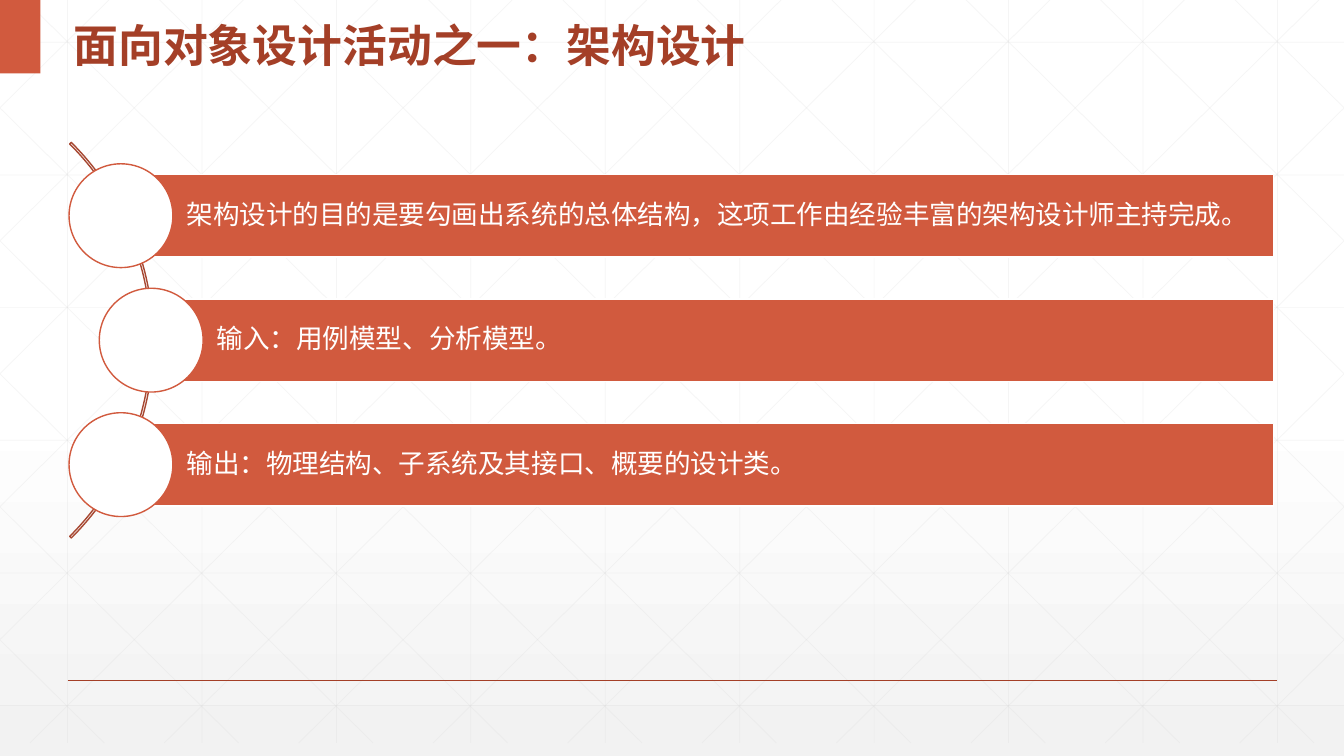
import dataclasses

import lxml.etree
import pptx
import pptx.dml.color
import pptx.enum.shapes
import pptx.enum.text
import pptx.oxml
import pptx.oxml.ns
import pptx.util

Inches = pptx.util.Inches
Pt = pptx.util.Pt
qn = pptx.oxml.ns.qn
Kind = pptx.enum.shapes.MSO_SHAPE
Anchor = pptx.enum.text.MSO_ANCHOR

WIDE, HIGH = 13.33, 7.5
DEEP = 7.37  # bottom of the grid
RED, DARK, WHITE, GRAY = "D15A3E", "A43F27", "FFFFFF", "D9D9D9"
HAN = "Noto Sans CJK SC"


@dataclasses.dataclass
class Row:
    left: float
    text: str


ROWS = [
    Row(1.2, "架构设计的目的是要勾画出系统的总体结构，这项工作由经验丰富的架构设计师主持完成。"),
    Row(1.5, "输入：用例模型、分析模型。"),
    Row(1.2, "输出：物理结构、子系统及其接口、概要的设计类。"),
]

deck = pptx.Presentation()
deck.slide_width, deck.slide_height = Inches(WIDE), Inches(HIGH)
slide = deck.slides.add_slide(deck.slide_layouts[6])


def color(code: str) -> pptx.dml.color.RGBColor:
    return pptx.dml.color.RGBColor.from_string(code)


def add_alpha(clr, share: int) -> None:
    lxml.etree.SubElement(clr, qn("a:alpha")).set("val", str(share * 1000))


def add_line(x1: float, y1: float, x2: float, y2: float, code: str,
             width: float, alpha: int = 100) -> None:
    line = slide.shapes.add_connector(
        pptx.enum.shapes.MSO_CONNECTOR.STRAIGHT,
        Inches(x1), Inches(y1), Inches(x2), Inches(y2))
    line.line.color.rgb = color(code)
    line.line.width = Pt(width)
    props = line._element.spPr
    if alpha < 100:
        add_alpha(props.find(".//" + qn("a:srgbClr")), alpha)
    lxml.etree.SubElement(props, qn("a:effectLst"))


def add_shape(kind, left: float, top: float, width: float, height: float,
              fill: str = "", edge: str = ""):
    shape = slide.shapes.add_shape(
        kind, Inches(left), Inches(top), Inches(width), Inches(height))
    shape.shadow.inherit = False
    if fill:
        shape.fill.solid()
        shape.fill.fore_color.rgb = color(fill)
    else:
        shape.fill.background()
    if edge:
        shape.line.color.rgb = color(edge)
        shape.line.width = Pt(1)
    else:
        shape.line.fill.background()
    return shape


def set_text(shape, text: str, *, size: float, code: str, face: str,
             space: float, inset: float, bold: bool = False) -> None:
    frame = shape.text_frame
    frame.word_wrap = True
    frame.vertical_anchor = Anchor.MIDDLE
    frame.margin_left = Inches(inset)
    frame.margin_right = frame.margin_top = frame.margin_bottom = Inches(0.05)
    para = frame.paragraphs[0]
    para.alignment = pptx.enum.text.PP_ALIGN.LEFT
    para.line_spacing = space
    run = para.add_run()
    run.text = text
    run.font.size, run.font.bold, run.font.name = Pt(size), bold, face
    run.font.color.rgb = color(code)
    east = lxml.etree.SubElement(run._r.get_or_add_rPr(), qn("a:ea"))
    east.set("typeface", HAN)


def draw_back() -> None:
    fill = slide.background.fill
    fill.gradient()
    fill.gradient_angle = 270
    stops = slide._element.find(".//" + qn("a:gsLst"))
    for old in list(stops):
        stops.remove(old)
    for place, code, alpha in ((0, WHITE, 100), (53, WHITE, 100), (100, "F2F2F2", 65)):
        stop = lxml.etree.SubElement(stops, qn("a:gs"))
        stop.set("pos", str(place * 1000))
        clr = lxml.etree.SubElement(stop, qn("a:srgbClr"))
        clr.set("val", code)
        if alpha < 100:
            add_alpha(clr, alpha)


def draw_grid() -> None:
    step, run = 4 / 3, 7.45
    slope = DEEP / run

    def rule(x1: float, y1: float, x2: float, y2: float) -> None:
        add_line(x1, y1, x2, y2, GRAY, 0.5, 25)

    for i in range(10):
        x = 0.67 + i * step
        rule(x, 0, x, DEEP)
    for i in range(6):
        y = 0.42 + i * 1.316
        rule(0, y, WIDE, y)
    # Diagonals clipped to the slide, each with its mirror
    for i in range(-5, 10):
        start = 0.25 + i * step
        x1, x2 = max(start, 0), min(start + run, WIDE)
        y1, y2 = (x1 - start) * slope, (x2 - start) * slope
        rule(x1, y1, x2, y2)
        rule(WIDE - x1, y1, WIDE - x2, y2)


def draw_head() -> None:
    add_line(0.67, 6.75, 12.67, 6.75, DARK, 1)
    add_shape(Kind.RECTANGLE, 0, 0, 0.4, 0.73, RED)
    title = slide.shapes.add_textbox(Inches(0.63), 0, Inches(8.47), Inches(0.73))
    set_text(title, "面向对象设计活动之一：架构设计", size=32, code=DARK,
             face=HAN, space=1.3, inset=0.1, bold=True)


def draw_list() -> None:
    arc = add_shape(Kind.BLOCK_ARC, -4.03, 0.6, 5.55, 5.55, edge="A74832")
    for i, value in enumerate((189, 27, 0.004)):
        arc.adjustments[i] = value
    right, tall, disc = 12.63, 0.82, 1.03
    for i, row in enumerate(ROWS):
        top = 1.73 + i * 1.235
        bar = add_shape(Kind.RECTANGLE, row.left, top, right - row.left, tall, RED, WHITE)
        set_text(bar, row.text, size=19, code=WHITE, face="Arial", space=0.9, inset=0.65)
        add_shape(Kind.OVAL, row.left - disc / 2, top + (tall - disc) / 2,
                  disc, disc, WHITE, RED)


def main() -> None:
    draw_back()
    draw_grid()
    draw_head()
    draw_list()
    deck.save("out.pptx")


if __name__ == "__main__":
    main()
